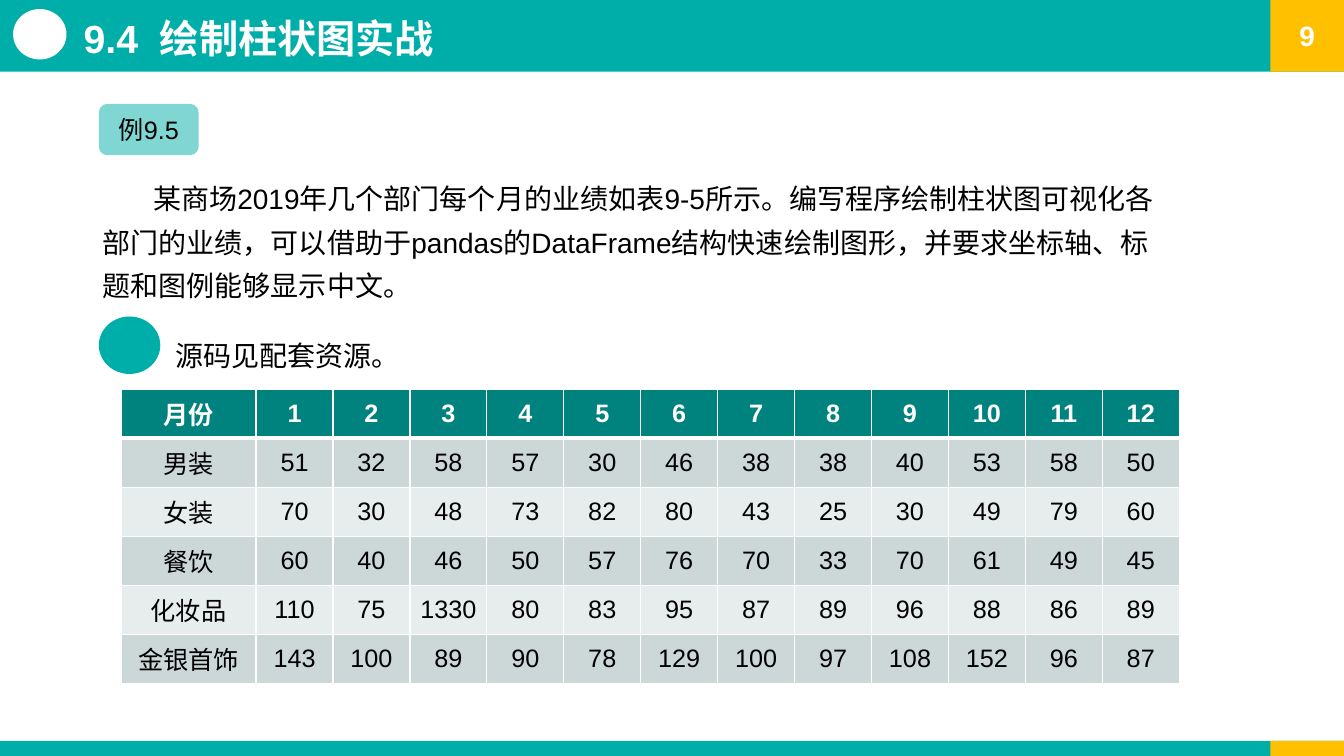
from lxml.etree import SubElement
from pptx import Presentation
from pptx.dml.color import RGBColor
from pptx.enum.shapes import MSO_SHAPE
from pptx.enum.text import MSO_ANCHOR, MSO_AUTO_SIZE, PP_ALIGN
from pptx.oxml.ns import qn
from pptx.util import Inches, Pt

# Content
TITLE_NUMBER, TITLE_TEXT = "9.4", "绘制柱状图实战"
PAGE_NUMBER = "9"
EXAMPLE = "例9.5"
TASK = ("某商场2019年几个部门每个月的业绩如表9-5所示。编写程序绘制柱状图可视化"
        "各部门的业绩，可以借助于pandas的DataFrame结构快速绘制图形，并要求坐标轴、"
        "标题和图例能够显示中文。")
SOURCE_NOTE = "源码见配套资源。"
SALES = [
    ("月份", *range(1, 13)),
    ("男装", 51, 32, 58, 57, 30, 46, 38, 38, 40, 53, 58, 50),
    ("女装", 70, 30, 48, 73, 82, 80, 43, 25, 30, 49, 79, 60),
    ("餐饮", 60, 40, 46, 50, 57, 76, 70, 33, 70, 61, 49, 45),
    ("化妆品", 110, 75, 1330, 80, 83, 95, 87, 89, 96, 88, 86, 89),
    ("金银首饰", 143, 100, 89, 90, 78, 129, 100, 97, 108, 152, 96, 87),
]

# Style
LATIN, CHINESE = "Arial", "Noto Sans CJK SC"
TEAL = RGBColor(0x00, 0xAE, 0xA9)
DARK_TEAL = RGBColor(0x00, 0x82, 0x7E)
AMBER = RGBColor(0xFF, 0xC0, 0x00)
WHITE = RGBColor(0xFF, 0xFF, 0xFF)
BLACK = RGBColor(0x00, 0x00, 0x00)
STRIPES = (RGBColor(0xE7, 0xED, 0xEC), RGBColor(0xCC, 0xD8, 0xD8))

# Layout, in inches
WIDTH, HEIGHT = 13.33, 7.5
CORNER = 0.73
HEADER, FOOTER = 0.71, 0.15
LEFT = 0.98
TABLE_LEFT, TABLE_TOP, TABLE_WIDTH, TABLE_HEIGHT = 1.2, 3.86, 10.5, 2.92
LABEL_WIDTH = 1.34


def add_span(para, text, size, color=BLACK, bold=False, font=LATIN):
    span = para.add_run()
    span.text = str(text)
    span.font.name = font
    span.font.size = Pt(size)
    span.font.bold = bold
    span.font.color.rgb = color
    SubElement(span.font._element, qn("a:ea"), typeface=CHINESE)
    return span


def add_block(page, kind, left, top, width, height, color):
    block = page.shapes.add_shape(
        kind, Inches(left), Inches(top), Inches(width), Inches(height))
    block.shadow.inherit = False
    block.fill.solid()
    block.fill.fore_color.rgb = color
    block.line.fill.background()
    return block


def label_block(block, text, size, color, bold=False):
    block.text_frame.vertical_anchor = MSO_ANCHOR.MIDDLE
    para = block.text_frame.paragraphs[0]
    para.alignment = PP_ALIGN.CENTER
    add_span(para, text, size, color, bold)


def add_text_box(page, left, top, width, height):
    box = page.shapes.add_textbox(
        Inches(left), Inches(top), Inches(width), Inches(height))
    box.text_frame.word_wrap = True
    return box.text_frame.paragraphs[0]


def add_bands(page):
    for top, height in ((HEIGHT - FOOTER, FOOTER), (0, HEADER)):
        add_block(page, MSO_SHAPE.RECTANGLE, 0, top, WIDTH, height, TEAL)
        corner = add_block(page, MSO_SHAPE.RECTANGLE,
                           WIDTH - CORNER, top, CORNER, height, AMBER)
    label_block(corner, PAGE_NUMBER, 20, WHITE, bold=True)


def add_title(page):
    title = page.shapes.title
    title.left, title.top = Inches(0.73), Inches(0.09)
    title.width, title.height = Inches(7.68), Inches(0.57)
    title.element.getparent().append(title.element)  # in front of the band
    frame = title.text_frame
    frame.auto_size = MSO_AUTO_SIZE.NONE
    frame.vertical_anchor = MSO_ANCHOR.TOP
    para = frame.paragraphs[0]
    para.alignment = PP_ALIGN.LEFT
    add_span(para, TITLE_NUMBER, 28, WHITE, bold=True)
    gap = add_span(para, " ", 28, WHITE, bold=True)
    gap.font._element.set("spc", "780")
    add_span(para, TITLE_TEXT, 28, WHITE, bold=True)


def add_example(page):
    tag = add_block(page, MSO_SHAPE.ROUNDED_RECTANGLE, LEFT, 1.03, 0.99, 0.51, TEAL)
    tint = tag.element.spPr.find(qn("a:solidFill"))[0]
    SubElement(tint, qn("a:alpha"), val="50000")
    label_block(tag, EXAMPLE, 18, BLACK)

    para = add_text_box(page, 0.92, 1.65, 10.77, 1.41)
    para.line_spacing = 1.3
    para._p.get_or_add_pPr().set("indent", str(Inches(0.5)))
    add_span(para, TASK, 20)

    para = add_text_box(page, 1.64, 3.14, 4.12, 0.61)
    para.alignment = PP_ALIGN.JUSTIFY
    para.line_spacing = 1.5
    para.space_after = Pt(6)
    add_span(para, SOURCE_NOTE, 20, font=CHINESE)


def add_borders(cell, bottom):
    properties = cell._tc.get_or_add_tcPr()
    for side, points in (("L", 1), ("R", 1), ("T", 1), ("B", bottom)):
        line = SubElement(properties, qn("a:ln" + side), w=str(Pt(points)))
        fill = SubElement(line, qn("a:solidFill"))
        SubElement(fill, qn("a:srgbClr"), val=str(WHITE))


def add_sales_table(page):
    rows, columns = len(SALES), len(SALES[0])
    table = page.shapes.add_table(
        rows, columns, Inches(TABLE_LEFT), Inches(TABLE_TOP),
        Inches(TABLE_WIDTH), Inches(TABLE_HEIGHT)).table
    month_width = (TABLE_WIDTH - LABEL_WIDTH) / (columns - 1)
    for index, column in enumerate(table.columns):
        column.width = Inches(month_width if index else LABEL_WIDTH)
    for row, values in enumerate(SALES):
        heading = row == 0
        for column, value in enumerate(values):
            cell = table.cell(row, column)
            add_borders(cell, bottom=3 if heading else 1)
            cell.fill.solid()
            cell.fill.fore_color.rgb = DARK_TEAL if heading else STRIPES[row % 2]
            cell.vertical_anchor = MSO_ANCHOR.MIDDLE
            para = cell.text_frame.paragraphs[0]
            para.alignment = PP_ALIGN.CENTER
            add_span(para, value, 18, WHITE if heading else BLACK, heading)


def main():
    deck = Presentation()
    deck.slide_width, deck.slide_height = Inches(WIDTH), Inches(HEIGHT)
    page = deck.slides.add_slide(deck.slide_layouts[5])
    add_bands(page)
    # Round emblems beside the title and the source note
    add_block(page, MSO_SHAPE.OVAL, 0.13, 0.09, 0.53, 0.5, WHITE)
    add_title(page)
    add_example(page)
    add_block(page, MSO_SHAPE.OVAL, LEFT, 3.14, 0.61, 0.57, TEAL)
    add_sales_table(page)
    deck.save("out.pptx")


if __name__ == "__main__":
    main()
